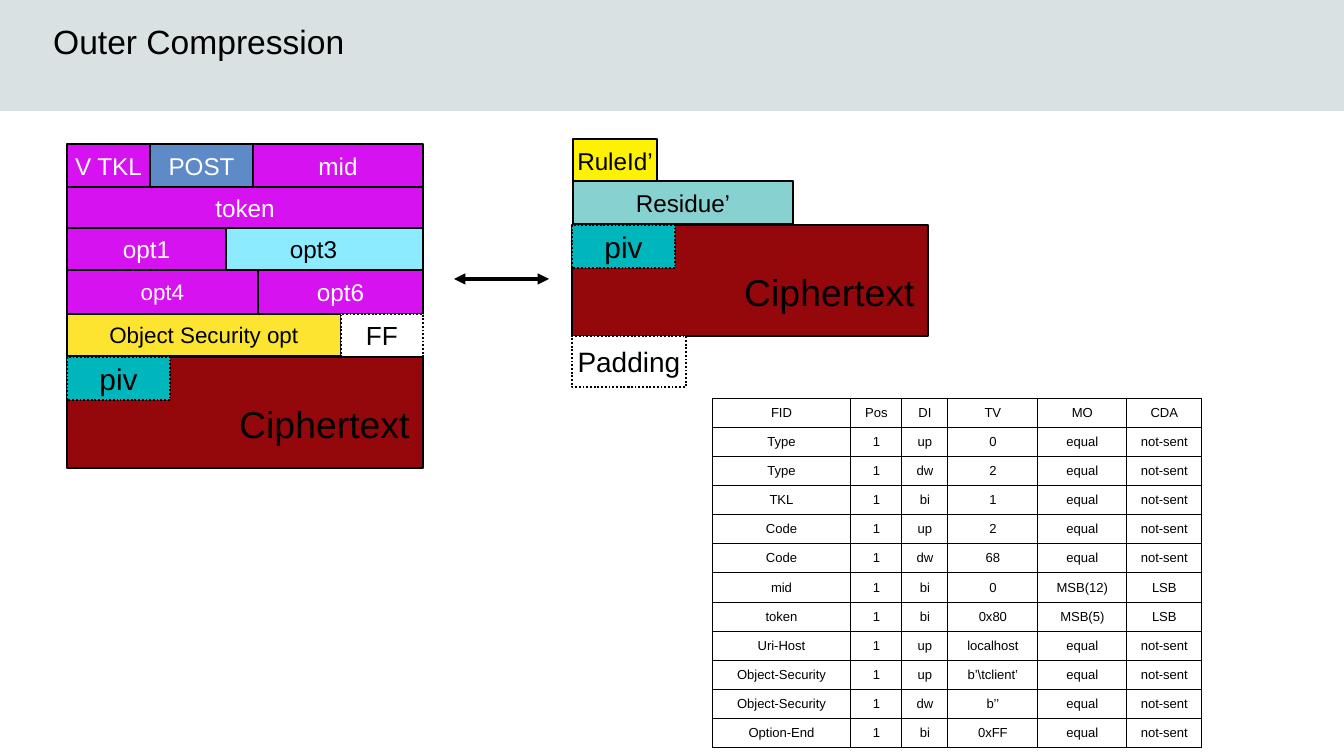
from lxml import etree
from pptx import Presentation
from pptx.dml.color import RGBColor as Rgb
from pptx.enum.dml import MSO_LINE as Dash
from pptx.enum.shapes import MSO_CONNECTOR as Link, MSO_SHAPE as Shape
from pptx.enum.text import MSO_ANCHOR as Anchor, PP_ALIGN as Align
from pptx.oxml.ns import qn
from pptx.util import Emu, Pt

SCALE = 914400 / 134.4
FONT = "Arial"
BLACK = Rgb(0x00, 0x00, 0x00)
WHITE = Rgb(0xFF, 0xFF, 0xFF)
MIST = Rgb(0xD9, 0xE1, 0xE2)
PINK = Rgb(0xD6, 0x12, 0xF0)
BLUE = Rgb(0x5E, 0x8A, 0xC7)
SKY = Rgb(0x8C, 0xEB, 0xFF)
GOLD = Rgb(0xFC, 0xE4, 0x31)
LEMON = Rgb(0xFF, 0xF2, 0x00)
SEA = Rgb(0x87, 0xD1, 0xD1)
TEAL = Rgb(0x00, 0xB6, 0xBD)
RED = Rgb(0x94, 0x07, 0x0A)

FIELDS = [
    ("opt3", 204, 228, 219, 42, SKY, BLACK, 13),
    ("opt1", 67, 228, 159, 42, PINK, WHITE, 13),
    ("POST", 150, 144, 103, 43, BLUE, WHITE, 13),
    ("mid", 253, 144, 170, 43, PINK, WHITE, 13),
    ("V TKL", 67, 144, 83, 43, PINK, WHITE, 13),
    ("token", 67, 187, 356, 41, PINK, WHITE, 13),
    ("opt6", 258, 270, 165, 44, PINK, WHITE, 13),
    ("opt4", 67, 270, 191, 44, PINK, WHITE, 12),
    ("Object Security opt", 67, 314, 274, 42, GOLD, BLACK, 12),
    ("RuleId’", 573, 139, 84, 43, LEMON, BLACK, 13),
    ("Residue’", 573, 181, 220, 43, SEA, BLACK, 13),
]

COLS = [139, 51, 46, 90, 89, 75]
RULES = r"""FID Pos DI TV MO CDA
Type 1 up 0 equal not-sent
Type 1 dw 2 equal not-sent
TKL 1 bi 1 equal not-sent
Code 1 up 2 equal not-sent
Code 1 dw 68 equal not-sent
mid 1 bi 0 MSB(12) LSB
token 1 bi 0x80 MSB(5) LSB
Uri-Host 1 up localhost equal not-sent
Object-Security 1 up b’\tclient’ equal not-sent
Object-Security 1 dw b’’ equal not-sent
Option-End 1 bi 0xFF equal not-sent"""


def px(n):
    return Emu(round(n * SCALE))


def write(frame, text, size, color, align):
    frame.text = text
    para = frame.paragraphs[0]
    para.alignment = align
    font = para.runs[0].font
    font.name, font.size, font.bold = FONT, Pt(size), False
    font.color.rgb = color


def add_rect(slide, x, y, w, h, fill):
    rect = slide.shapes.add_shape(Shape.RECTANGLE, px(x), px(y), px(w), px(h))
    rect.shadow.inherit = False
    rect.fill.solid()
    rect.fill.fore_color.rgb = fill
    rect.line.fill.background()
    return rect


def add_field(slide, text, x, y, w, h, fill, color, size, dots=False):
    rect = add_rect(slide, x, y, w, h, fill)
    rect.line.color.rgb = BLACK
    rect.line.width = Pt(1 if dots else 0)
    if dots:
        rect.line.dash_style = Dash.ROUND_DOT
    frame = rect.text_frame
    frame.word_wrap = False
    frame.vertical_anchor = Anchor.MIDDLE
    write(frame, text, size, color, Align.CENTER)
    return frame


def add_cipher(slide, x, y):
    frame = add_field(slide, "Ciphertext", x, y, 356, 111, RED, BLACK, 20)
    frame.vertical_anchor = Anchor.BOTTOM
    frame.margin_bottom = px(22)
    frame.paragraphs[0].alignment = Align.RIGHT
    add_field(slide, "piv", x, y, 103, 43, TEAL, BLACK, 16, True)


def add_title(slide, text):
    add_rect(slide, 0, 0, 1344, 111, MIST)
    box = slide.shapes.add_textbox(px(40), px(14), px(1129), px(126))
    box.text_frame.word_wrap = True
    write(box.text_frame, text, 18, BLACK, Align.LEFT)


def add_arrow(slide, x, y, end):
    arrow = slide.shapes.add_connector(Link.STRAIGHT, px(x), px(y), px(end), px(y))
    arrow.line.color.rgb = BLACK
    arrow.line.width = Pt(0)
    line = arrow.line._get_or_add_ln()
    for tag in ("a:headEnd", "a:tailEnd"):
        etree.SubElement(line, qn(tag), type="triangle")
    etree.SubElement(arrow._element.spPr, qn("a:effectLst"))


def add_edges(cell):
    props = cell._tc.get_or_add_tcPr()
    for side in "LRTB":
        edge = etree.SubElement(props, qn("a:ln" + side), w=str(Pt(0.57)))
        fill = etree.SubElement(edge, qn("a:solidFill"))
        etree.SubElement(fill, qn("a:srgbClr"), val=str(BLACK))


def add_rules(slide, x, y, h):
    rows = [line.split() for line in RULES.splitlines()]
    frame = slide.shapes.add_table(
        len(rows), len(COLS), px(x), px(y), px(sum(COLS)), px(h)
    )
    table = frame.table
    table.first_row = table.horz_banding = False
    for col, width in zip(table.columns, COLS):
        col.width = px(width)
    for row, texts in zip(table.rows, rows):
        row.height = px(h / len(rows))
        for cell, text in zip(row.cells, texts):
            add_edges(cell)
            cell.fill.background()
            cell.vertical_anchor = Anchor.MIDDLE
            cell.margin_left = cell.margin_right = px(10)
            write(cell.text_frame, text, 7, BLACK, Align.CENTER)


def main():
    deck = Presentation()
    deck.slide_width, deck.slide_height = px(1344), px(756)
    slide = deck.slides.add_slide(deck.slide_layouts[6])
    add_title(slide, "Outer Compression")
    for field in FIELDS:
        add_field(slide, *field)
    add_field(slide, "FF", 341, 314, 82, 43, WHITE, BLACK, 14, True)
    add_cipher(slide, 67, 357)
    add_arrow(slide, 454, 279, 549)
    add_cipher(slide, 572, 225)
    add_field(slide, "Padding", 572, 336, 114, 51, WHITE, BLACK, 15, True)
    add_rules(slide, 712, 398, 350)
    deck.save("out.pptx")


if __name__ == "__main__":
    main()
